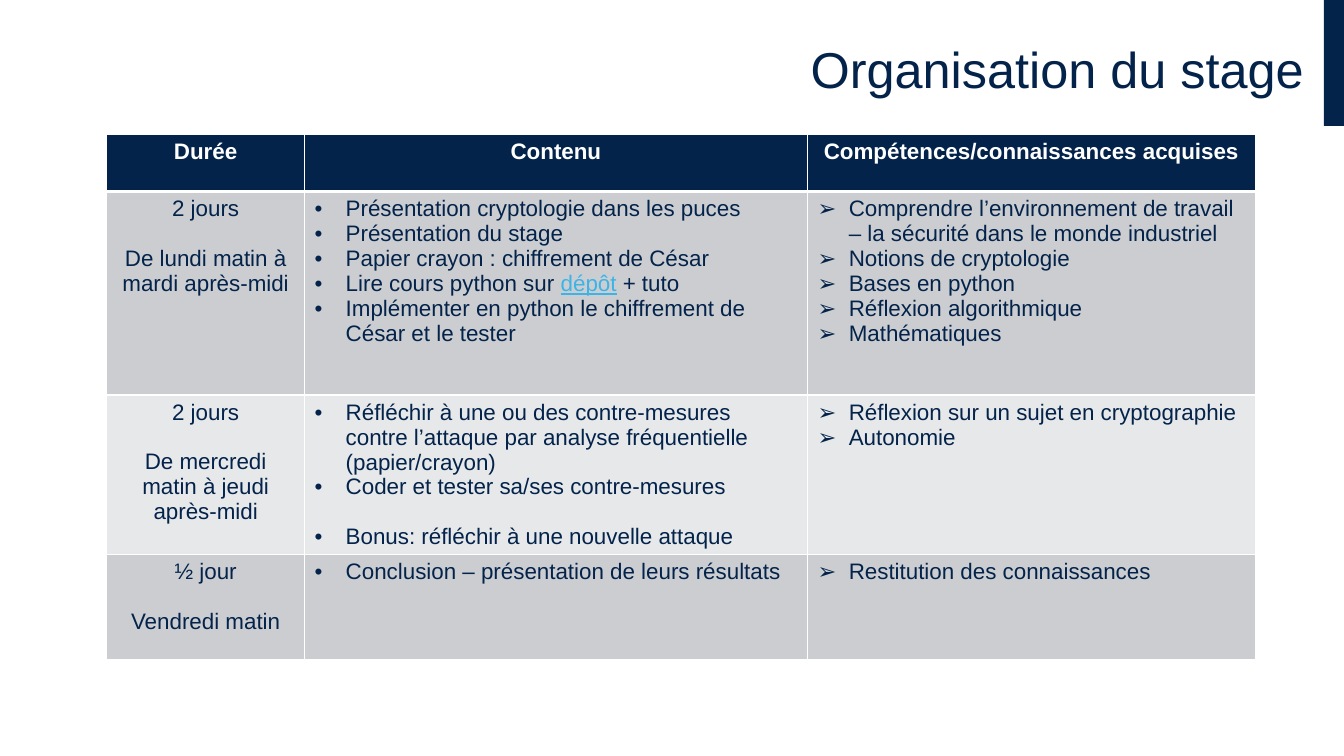
from dataclasses import dataclass
from typing import Any

from lxml import etree
from pptx import Presentation, util as u
from pptx.dml.color import RGBColor
from pptx.enum import shapes, text
from pptx.oxml import ns

WIDE, HIGH = u.Inches(13.33), u.Inches(7.5)
HUES = {
    "navy": "03234B",
    "white": "FFFFFF",
    "dark": "CCCDD0",
    "light": "E7E8E9",
    "link": "3CB4E6",
}
HEAD = {"name": "Arial", "size": u.Pt(16), "bold": True}
BODY = HEAD | {"bold": False}
TITLE = BODY | {"size": u.Pt(36)}
GAP = u.Pt(17.7)
COLS = (14.7, 37.43, 33.31)
MARKS = ("", "•", "➢")


@dataclass(frozen=True)
class Line:
    words: str
    link: str = ""
    tail: str = ""
    gap: bool = False


@dataclass(frozen=True)
class Row:
    share: float
    hue: str
    cells: tuple[tuple[Line, ...], ...]
    head: bool = False


ROWS = (
    Row(7.6, "navy", (
        (Line("Durée"),),
        (Line("Contenu"),),
        (Line("Compétences/connaissances acquises"),),
    ), head=True),
    Row(26.93, "dark", (
        (Line("2 jours"), Line("De lundi matin à mardi après-midi", gap=True)),
        (
            Line("Présentation cryptologie dans les puces"),
            Line("Présentation du stage"),
            Line("Papier crayon : chiffrement de César"),
            Line("Lire cours python sur ", "dépôt", " + tuto"),
            Line("Implémenter en python le chiffrement de César et le tester"),
        ),
        (
            Line("Comprendre l’environnement de travail – la sécurité dans le monde industriel"),
            Line("Notions de cryptologie"),
            Line("Bases en python"),
            Line("Réflexion algorithmique"),
            Line("Mathématiques"),
        ),
    )),
    Row(21.07, "light", (
        (Line("2 jours"), Line("De mercredi matin à jeudi après-midi", gap=True)),
        (
            Line("Réfléchir à une ou des contre-mesures contre l’attaque par analyse fréquentielle (papier/crayon)"),
            Line("Coder et tester sa/ses contre-mesures"),
            Line("Bonus: réfléchir à une nouvelle attaque", gap=True),
        ),
        (Line("Réflexion sur un sujet en cryptographie"), Line("Autonomie")),
    )),
    Row(13.87, "dark", (
        (Line("½ jour"), Line("Vendredi matin", gap=True)),
        (Line("Conclusion – présentation de leurs résultats"),),
        (Line("Restitution des connaissances"),),
    )),
)


def across(share: float) -> u.Emu:
    return u.Emu(round(WIDE * share / 100))


def down(share: float) -> u.Emu:
    return u.Emu(round(HIGH * share / 100))


def place(left: float, top: float, width: float, height: float) -> tuple[u.Emu, ...]:
    return across(left), down(top), across(width), down(height)


def apply(thing: Any, values: dict[str, Any]) -> None:
    for key, value in values.items():
        setattr(thing, key, value)


def paint(fill: Any, hue: str) -> None:
    fill.solid()
    fill.fore_color.rgb = RGBColor.from_string(HUES[hue])


def write(para: Any, words: str, look: dict[str, Any], hue: str) -> None:
    run = para.add_run()
    run.text = words
    apply(run.font, look)
    run.font.color.rgb = RGBColor.from_string(HUES[hue])


def mark(para: Any, sign: str) -> None:
    props = para._p.get_or_add_pPr()
    props.set("marL", str(u.Inches(0.31)))
    props.set("indent", str(u.Inches(-0.31)))
    etree.SubElement(props, ns.qn("a:buFont"), typeface="Arial")
    etree.SubElement(props, ns.qn("a:buChar"), char=sign)


def edge(cell: Any, top: int, base: int) -> None:
    props = cell._tc.get_or_add_tcPr()
    for side, width in {"L": 1, "R": 1, "T": top, "B": base}.items():
        line = etree.SubElement(props, ns.qn(f"a:ln{side}"), w=str(u.Pt(width)))
        fill = etree.SubElement(line, ns.qn("a:solidFill"))
        etree.SubElement(fill, ns.qn("a:srgbClr"), val=HUES["white"])


def fill_cell(cell: Any, lines: tuple[Line, ...], sign: str, head: bool) -> None:
    look, hue = (HEAD, "white") if head else (BODY, "navy")
    frame = cell.text_frame
    for spot, line in enumerate(lines):
        para = frame.add_paragraph() if spot else frame.paragraphs[0]
        if sign and not head:
            mark(para, sign)
        else:
            para.alignment = text.PP_ALIGN.CENTER
        if line.gap:
            para.space_before = GAP
        write(para, line.words, look, hue)
        if line.link:
            write(para, line.link, look | {"underline": True}, "link")
            write(para, line.tail, look, hue)


def draw_bar(slide: Any) -> None:
    bar = slide.shapes.add_shape(
        shapes.MSO_SHAPE.RECTANGLE, *place(98.5, 0, 1.5, 16.67))
    bar.shadow.inherit = False
    paint(bar.fill, "navy")
    bar.line.fill.background()


def draw_table(slide: Any) -> None:
    area = place(7.95, 17.73, sum(COLS), sum(row.share for row in ROWS))
    table = slide.shapes.add_table(len(ROWS), len(COLS), *area).table
    table.horz_banding = False
    for col, share in zip(table.columns, COLS):
        col.width = across(share)
    for y, row in enumerate(ROWS):
        table.rows[y].height = down(row.share)
        for x, lines in enumerate(row.cells):
            cell = table.cell(y, x)
            edge(cell, 3 if y == 1 else 1, 3 if row.head else 1)
            paint(cell.fill, row.hue)
            fill_cell(cell, lines, MARKS[x], row.head)


def draw_title(slide: Any) -> None:
    frame = slide.shapes.add_textbox(*place(2.48, 0, 95.27, 19.07)).text_frame
    apply(frame, {"word_wrap": True, "vertical_anchor": text.MSO_ANCHOR.MIDDLE})
    para = frame.paragraphs[0]
    apply(para, {"alignment": text.PP_ALIGN.RIGHT, "line_spacing": 0.9})
    write(para, "Organisation du stage", TITLE, "navy")


def main() -> None:
    deck = Presentation()
    apply(deck, {"slide_width": WIDE, "slide_height": HIGH})
    slide = deck.slides.add_slide(deck.slide_layouts[6])
    for draw in (draw_bar, draw_table, draw_title):
        draw(slide)
    deck.save("out.pptx")


if __name__ == "__main__":
    main()
